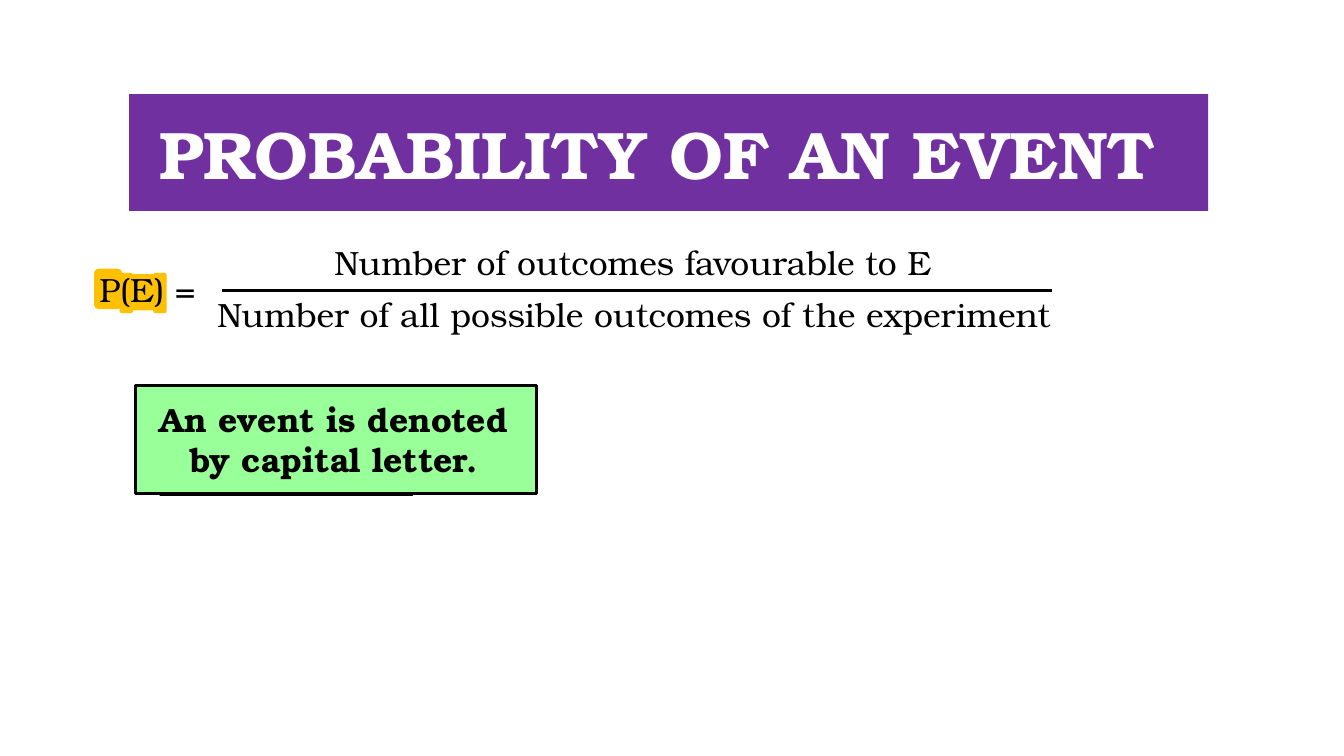
from lxml import etree
from pptx import Presentation
from pptx.dml.color import RGBColor
from pptx.enum.shapes import MSO_CONNECTOR, MSO_SHAPE
from pptx.enum.text import MSO_ANCHOR, MSO_AUTO_SIZE, PP_ALIGN
from pptx.oxml.ns import qn
from pptx.util import Inches, Pt

RECT, ROUND = MSO_SHAPE.RECTANGLE, MSO_SHAPE.ROUNDED_RECTANGLE
LINE = MSO_CONNECTOR.STRAIGHT
MIDDLE, FIT = MSO_ANCHOR.MIDDLE, MSO_AUTO_SIZE.SHAPE_TO_FIT_TEXT
NO_FIT = MSO_AUTO_SIZE.NONE
LEFT, CENTER = PP_ALIGN.LEFT, PP_ALIGN.CENTER
FONT = "TeX Gyre Bonum"
BLACK, WHITE, PURPLE = "000000", "FFFFFF", "7030A0"
AMBER, GREEN = "FFC000", "99FF99"


def paint(target, color):
    """Give a fill or line a solid colour."""
    target.solid()
    target.fore_color.rgb = RGBColor.from_string(color)


def write(frame, text, size=18, color=BLACK, bold=False, align=LEFT):
    """Set the text of a frame and format its runs."""
    frame.text = text
    for par in frame.paragraphs:
        par.alignment = align
        for run in par.runs:
            run.font.name = FONT
            run.font.size = Pt(size)
            run.font.bold = bold
            run.font.color.rgb = RGBColor.from_string(color)


def add_box(slide, kind, box, fill, edge=None):
    """Add a filled shape with an optional edge."""
    shape = slide.shapes.add_shape(kind, *map(Inches, box))
    shape.shadow.inherit = False
    paint(shape.fill, fill)
    if edge:
        paint(shape.line.fill, edge)
        shape.line.width = Pt(1.5)
    else:
        shape.line.fill.background()
    return shape


def add_text(slide, text, box, wrap=False, **style):
    """Add a text box that fits its words."""
    frame = slide.shapes.add_textbox(*map(Inches, box)).text_frame
    frame.word_wrap = wrap
    frame.auto_size = FIT
    write(frame, text, **style)


def add_title(slide, box):
    """Turn the title placeholder into the purple banner."""
    title = slide.shapes.title
    title.left, title.top, title.width, title.height = map(Inches, box)
    paint(title.fill, PURPLE)
    frame = title.text_frame
    frame.vertical_anchor = MIDDLE
    frame.word_wrap = True
    frame.auto_size = NO_FIT
    write(frame, "PROBABILITY OF AN EVENT ", 36, WHITE, True, CENTER)


def add_marker(slide, left, top):
    """Place the amber strokes behind the left-hand term."""
    strokes = [(0.26, 0.04, 0.21, 0.27), (0.44, 0.03, 0.1, 0.3),
               (0.19, 0.03, 0.1, 0.3), (0, 0, 0.21, 0.3)]
    for x, y, width, height in strokes:
        add_box(slide, ROUND, (left + x, top + y, width, height), AMBER)


def add_formula(slide, left, top):
    """Place the probability fraction with its marked left-hand term."""
    add_marker(slide, left + 0.06, top + 0.25)
    parts = [("P(E) =", 0, 0.2, 0.92),
             ("Number of outcomes favourable to E", 1.75, 0, 4.72),
             ("Number of all possible outcomes of the experiment",
              0.88, 0.39, 6.46)]
    for text, x, y, width in parts:
        add_text(slide, text, (left + x, top + y, width, 0.4))
    height = Inches(top + 0.41)
    bar = slide.shapes.add_connector(
        LINE, Inches(left + 1.01), height, Inches(left + 7.19), height)
    paint(bar.line.fill, BLACK)
    bar.line.width = Pt(1.5)
    etree.SubElement(bar._element.spPr, qn("a:effectLst"))


def add_note(slide, left, top):
    """Place the green note over its two smaller cards."""
    cards = [(0.19, 0.01, 1.87), (0.18, 0.01, 1.87), (0, 0, 2.98)]
    for x, y, width in cards:
        add_box(slide, RECT, (left + x, top + y, width, 0.8), GREEN, BLACK)
    add_text(slide, "An event is denoted by capital letter.",
             (left - 0.03, top + 0.05, 3.01, 0.71),
             wrap=True, bold=True, align=CENTER)


def main():
    """Build and save the slide."""
    deck = Presentation()
    deck.slide_width = Inches(10)
    deck.slide_height = Inches(10 * 9 / 16)
    slide = deck.slides.add_slide(deck.slide_layouts[5])
    add_title(slide, (0.96, 0.7, 8.03, 0.87))
    add_formula(slide, 0.64, 1.75)
    add_note(slide, 1.01, 2.87)
    deck.save("out.pptx")


if __name__ == "__main__":
    main()
